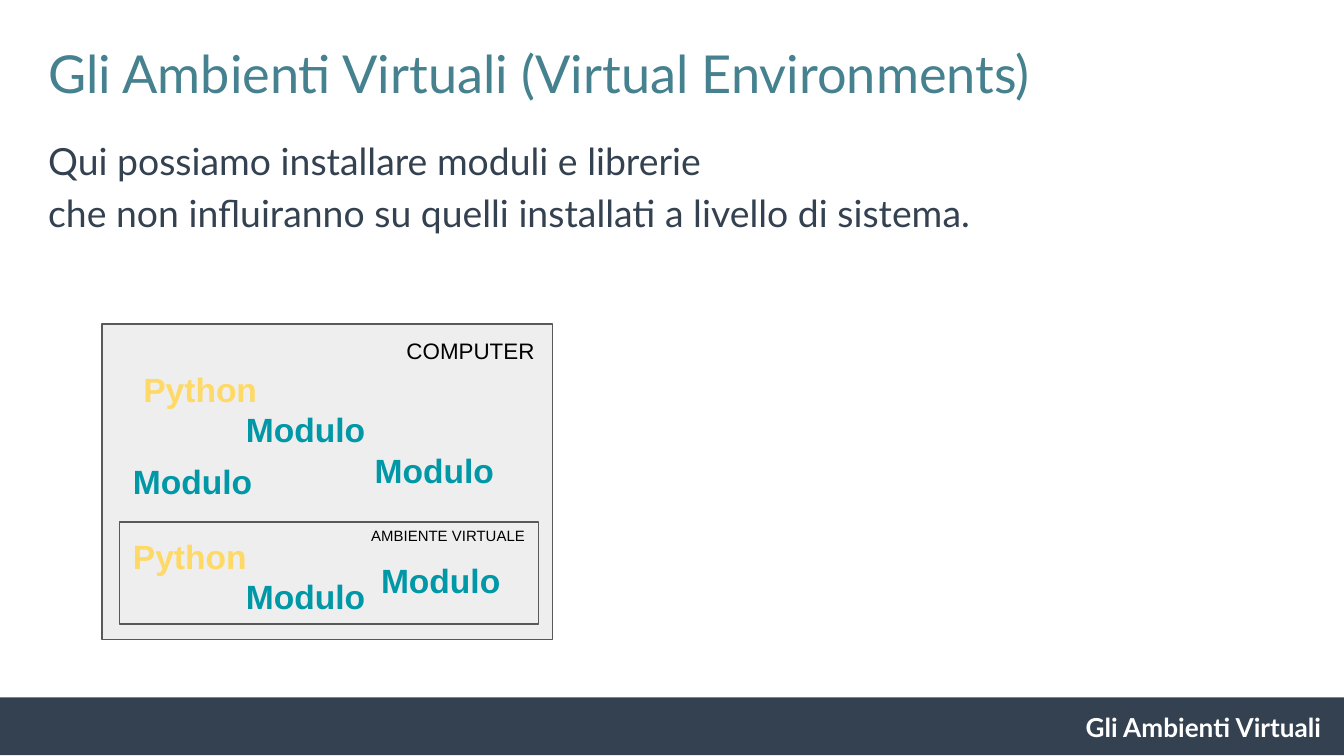
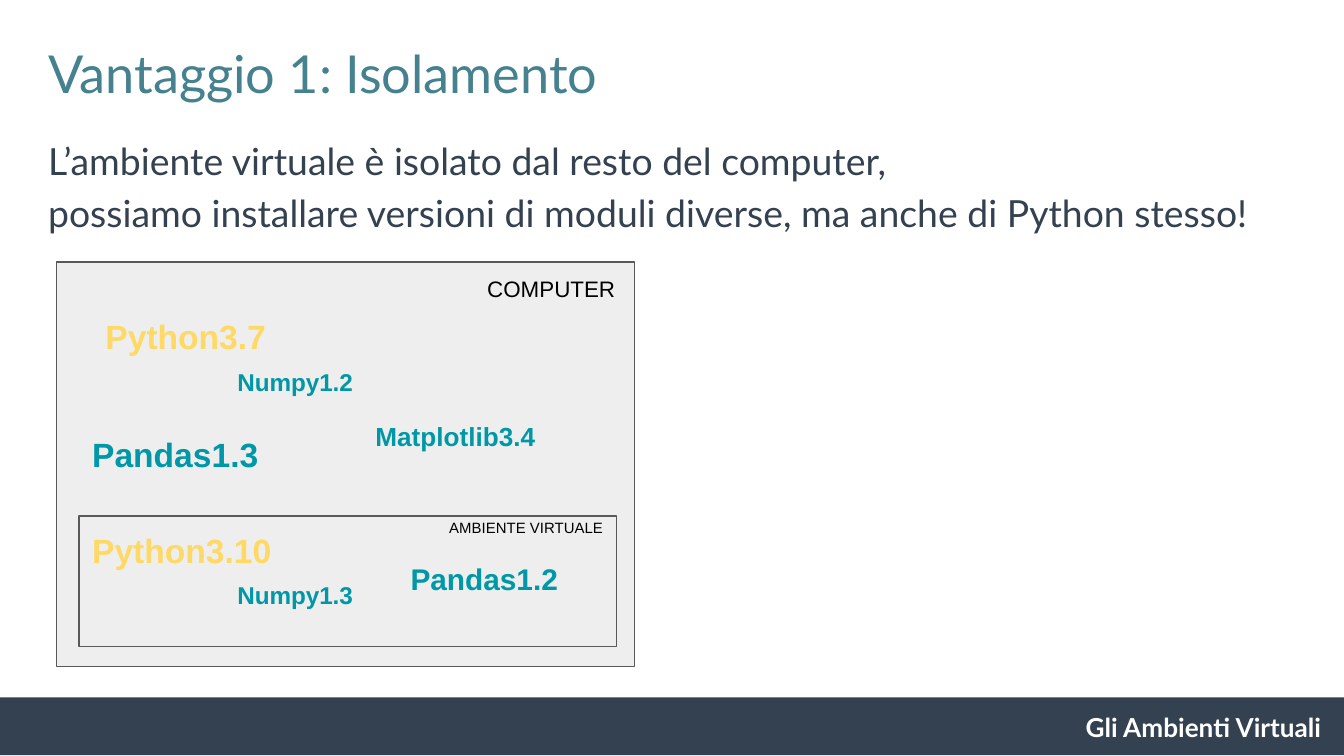
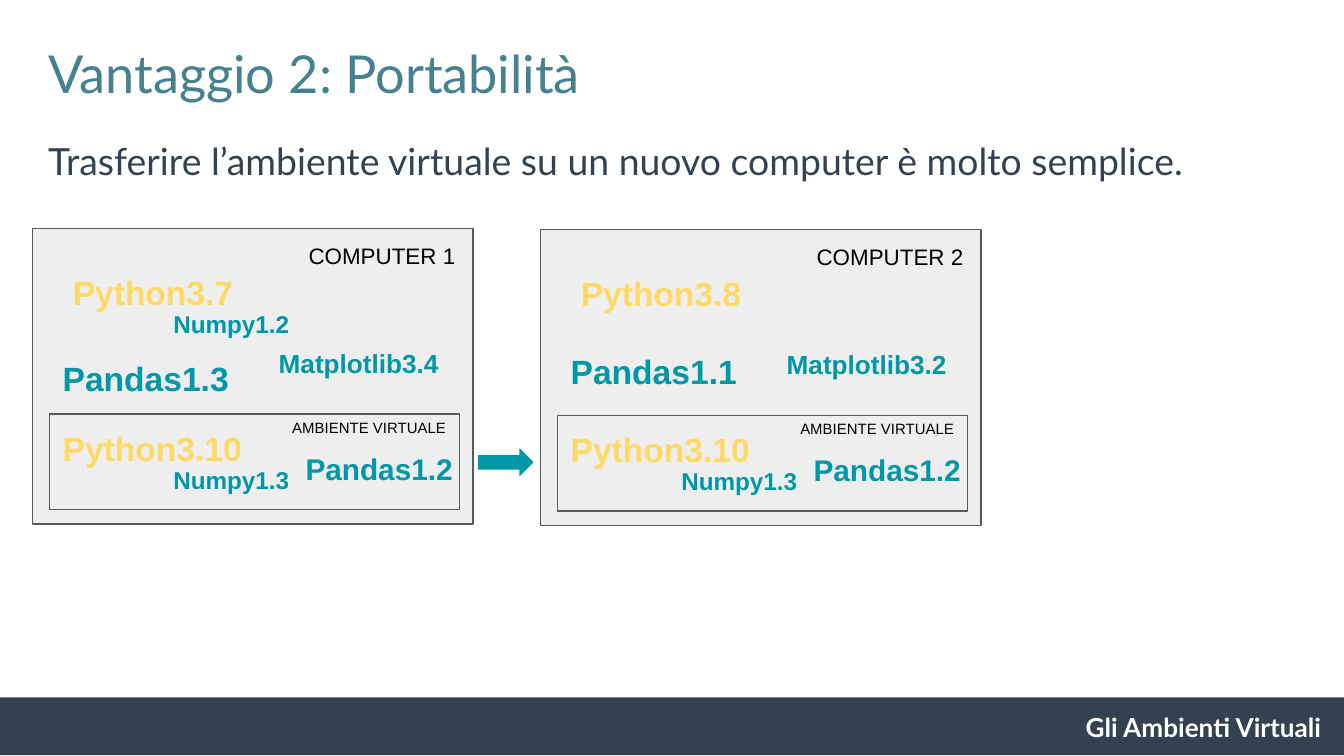
from dataclasses import dataclass

from pptx import Presentation
from pptx.dml.color import RGBColor
from pptx.enum.shapes import MSO_SHAPE as SHAPE
from pptx.enum.text import MSO_ANCHOR as ANCHOR, MSO_AUTO_SIZE as AUTO, PP_ALIGN as ALIGN
from pptx.util import Inches, Pt


@dataclass(frozen=True)
class Theme:
    """Colours, fonts and type sizes shared by the slides."""
    navy: str = "334150"
    teal: str = "45818E"
    panel: str = "EEEEEE"
    border: str = "595959"
    python: str = "FFD966"
    module: str = "0097A7"
    white: str = "FFFFFF"
    black: str = "000000"
    heading_font: str = "Lato"
    label_font: str = "Arial"
    title: int = 28
    body: int = 20
    footer: int = 14
    label: int = 18
    matplotlib: int = 14
    numpy: int = 13
    env_pandas: int = 16
    computer: int = 12
    env: int = 8


T = Theme()
PYTHON, ENV_PYTHON = "python", "env python"
TOP, LEFT, RIGHT = "top module", "left module", "right module"
ENV_LEFT, ENV_RIGHT = "env left module", "env right module"
SPOTS = {
    PYTHON: (6.2, 10, 44),
    ENV_PYTHON: (3.9, 62.8, 49),
    TOP: (29, 22.6, 36.6),
    LEFT: (3.9, 39.2, 44),
    RIGHT: (52.9, 35.7, 46),
    ENV_LEFT: (29, 75.4, 36.6),
    ENV_RIGHT: (59, 70.5, 41),
}


def write(sp, lines, size, color, font=T.label_font, bold=False, align=ALIGN.LEFT, spacing=None):
    """Fill a shape with evenly formatted paragraphs."""
    tf = sp.text_frame
    tf.text = "\n".join(lines)
    tf.word_wrap = True
    tf.auto_size = AUTO.SHAPE_TO_FIT_TEXT
    tf.vertical_anchor = ANCHOR.TOP
    tf.margin_left = tf.margin_right = tf.margin_top = tf.margin_bottom = Inches(0.1)
    for p in tf.paragraphs:
        p.alignment = align
        if spacing:
            p.line_spacing = spacing
        for r in p.runs:
            r.font.name, r.font.size, r.font.bold = font, Pt(size), bold
            r.font.color.rgb = RGBColor.from_string(color)


def add_text(s, x, y, w, lines, size, color, **style):
    """Add a text box whose height follows its lines."""
    h = 0.2 + len(lines) * size * 1.2 / 72 * style.get("spacing", 1)
    sp = s.shapes.add_textbox(Inches(x), Inches(y), Inches(w), Inches(h))
    write(sp, lines, size, color, **style)


def add_block(s, kind, x, y, w, h, fill, line=None):
    """Add a filled preset shape with an optional thin outline."""
    sp = s.shapes.add_shape(kind, Inches(x), Inches(y), Inches(w), Inches(h))
    sp.shadow.inherit = False
    sp.fill.solid()
    sp.fill.fore_color.rgb = RGBColor.from_string(fill)
    if line:
        sp.line.color.rgb = RGBColor.from_string(line)
        sp.line.width = Pt(0.75)
    else:
        sp.line.fill.background()


def add_slide(prs, title, body, body_width):
    """Add a slide with title, body text and footer band."""
    s = prs.slides.add_slide(prs.slide_layouts[5])
    sp = s.shapes.title
    sp.left, sp.top, sp.width, sp.height = map(Inches, (0.26, 0.21, 8.63, 0.67))
    write(sp, [title], T.title, T.teal, font=T.heading_font)
    add_block(s, SHAPE.RECTANGLE, -0.02, 5.19, 10.02, 0.43, T.navy)
    add_text(s, 7.05, 5.19, 2.88, ["Gli Ambienti Virtuali"], T.footer, T.white,
             font=T.heading_font, bold=True, align=ALIGN.RIGHT)
    add_text(s, 0.26, 0.88, body_width, body, T.body, T.navy,
             font=T.heading_font, spacing=1.15)
    return s


def add_computer(s, x, y, w, h, name, labels, spots=SPOTS):
    """Draw a computer with its virtual environment, placed in percent of its size."""
    def across(percent):
        return w * percent / 100

    def down(percent):
        return h * percent / 100

    add_block(s, SHAPE.RECTANGLE, x, y, w, h, T.panel, T.border)
    add_text(s, x + across(53), y, across(46), [name], T.computer, T.black, align=ALIGN.RIGHT)
    add_block(s, SHAPE.RECTANGLE, x + across(3.9), y + down(62.8), across(93), down(32.3),
              T.panel, T.border)
    add_text(s, x + across(36.9), y + down(61.3), across(60), ["AMBIENTE VIRTUALE"],
             T.env, T.black, align=ALIGN.RIGHT)
    for spot, (text, size) in labels.items():
        left, top, width = spots[spot]
        color = T.python if spot in (PYTHON, ENV_PYTHON) else T.module
        add_text(s, x + across(left), y + down(top), across(width), [text], size, color, bold=True)


def main():
    """Build the three slides and save them."""
    prs = Presentation()
    prs.slide_width, prs.slide_height = Inches(10), Inches(10 * 9 / 16)

    env_labels = {
        ENV_PYTHON: ("Python3.10", T.label),
        ENV_LEFT: ("Numpy1.3", T.numpy),
        ENV_RIGHT: ("Pandas1.2", T.env_pandas),
    }
    first_labels = {
        PYTHON: ("Python3.7", T.label),
        TOP: ("Numpy1.2", T.numpy),
        LEFT: ("Pandas1.3", T.label),
        RIGHT: ("Matplotlib3.4", T.matplotlib),
        **env_labels,
    }
    second_labels = {
        PYTHON: ("Python3.8", T.label),
        LEFT: ("Pandas1.1", T.label),
        RIGHT: ("Matplotlib3.2", T.matplotlib),
        **env_labels,
    }

    s = add_slide(prs, "Gli Ambienti Virtuali (Virtual Environments)",
                  ["Qui possiamo installare moduli e librerie",
                   "che non influiranno su quelli installati a livello di sistema."], 7.78)
    generic = {spot: ("Python" if spot in (PYTHON, ENV_PYTHON) else "Modulo", T.label)
               for spot in SPOTS}
    equal_spots = {spot: (left, top, 36.7) for spot, (left, top, _) in SPOTS.items()}
    equal_spots[RIGHT] = (57.6, 35.7, 36.7)
    add_computer(s, 0.76, 2.41, 3.35, 2.35, "COMPUTER", generic, equal_spots)

    s = add_slide(prs, "Vantaggio 1: Isolamento",
                  ["L’ambiente virtuale è isolato dal resto del computer,",
                   "possiamo installare versioni di moduli diverse, ma anche di Python stesso!"],
                  9.56)
    add_computer(s, 0.42, 1.95, 4.3, 3.01, "COMPUTER", first_labels)

    s = add_slide(prs, "Vantaggio 2: Portabilità",
                  ["Trasferire l’ambiente virtuale su un nuovo computer è molto semplice."], 9.56)
    add_computer(s, 0.24, 1.7, 3.28, 2.2, "COMPUTER 1", first_labels)
    add_computer(s, 4.02, 1.71, 3.28, 2.2, "COMPUTER 2", second_labels,
                 {**SPOTS, LEFT: (3.9, 36.4, 44)})
    add_block(s, SHAPE.RIGHT_ARROW, 3.55, 3.32, 0.43, 0.24, T.module, T.white)

    prs.save("out.pptx")


if __name__ == "__main__":
    main()
